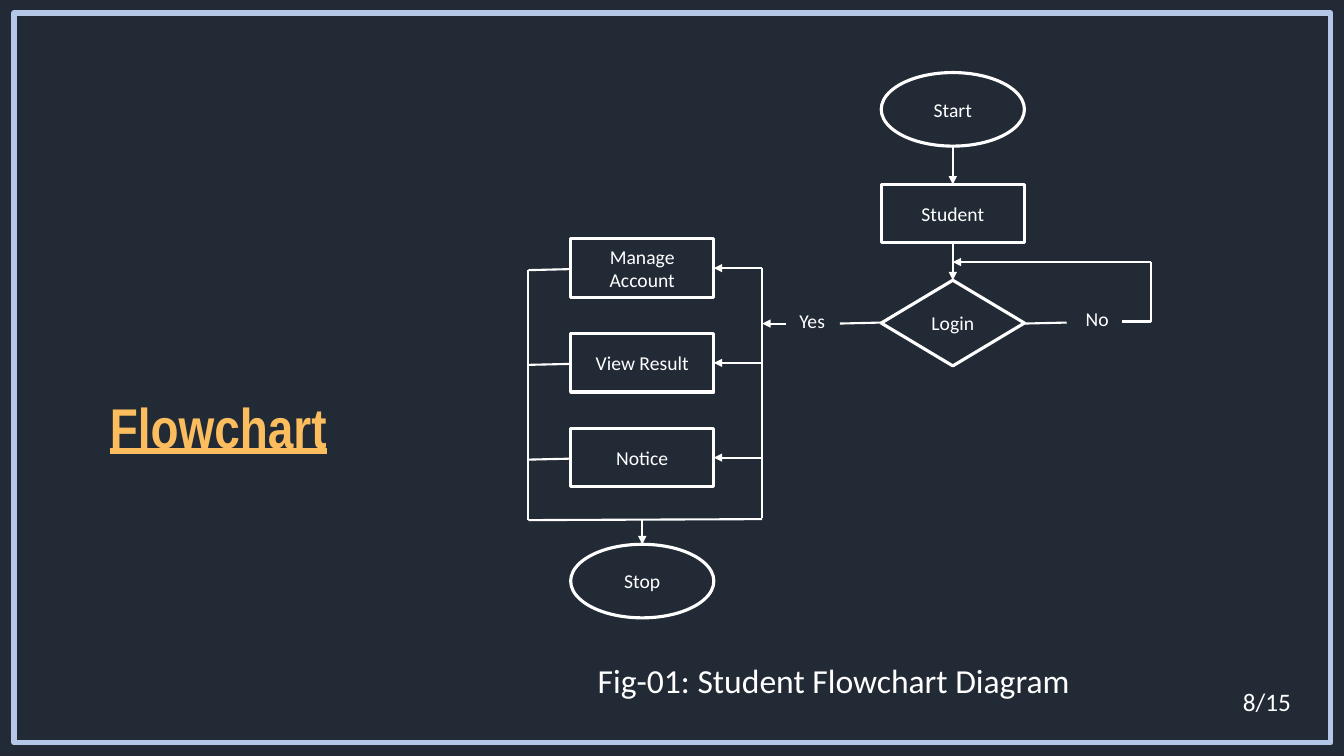
from lxml import etree
from pptx import Presentation
from pptx import util as u
from pptx.dml.color import RGBColor
from pptx.enum import shapes, text
from pptx.oxml.ns import qn

PX = 9144
SLIDE_SIZE = (1333, 750)
BACKGROUND, WHITE, GOLD, PALE_BLUE = "222A35", "FFFFFF", "FBBD5E", "B4C7E7"
FRAME = (14, 13, 1306, 724)

NODE_WIDTH = 142
LOGIN_X, MENU_X = 874, 566
LOGIN_CENTER, MENU_CENTER = LOGIN_X + NODE_WIDTH // 2, MENU_X + NODE_WIDTH // 2
LEFT_BUS, RIGHT_BUS, RETRY_X = 524, 756, 1142
BUS_BOTTOM = 515

NODE_KINDS = {
    "terminal": (shapes.MSO_SHAPE.OVAL, 73),
    "step": (shapes.MSO_SHAPE.RECTANGLE, 58),
    "decision": (shapes.MSO_SHAPE.DIAMOND, 85),
}
NODES = [
    ("Start", "terminal", LOGIN_X, 72),
    ("Student", "step", LOGIN_X, 183),
    ("Login", "decision", LOGIN_X, 278),
    ("Stop", "terminal", MENU_X, 540),
]
MENU = ["Manage Account", "View Result", "Notice"]
MENU_TOP, MENU_PITCH = 237, 94

LABELS = [
    ("Flowchart", (56, 384, 321, 77), 40, "Arial Narrow", GOLD, True),
    ("8/15", (1223, 676, 86, 40), 18, "Calibri", WHITE, True),
    ("Yes", (783, 302, 46, 34), 14, "Calibri", WHITE, False),
    ("No", (1067, 300, 43, 34), 14, "Calibri", WHITE, False),
    ("Fig-01: Student Flowchart Diagram", (583, 650, 492, 50), 24, "Calibri", WHITE, False),
]

ARROWS = [
    (LOGIN_CENTER, 146, LOGIN_CENTER, 183),
    (LOGIN_CENTER, 241, LOGIN_CENTER, 278),
    (RETRY_X, 260, LOGIN_CENTER, 260),
    (780, 321, RIGHT_BUS, 321),
    (MENU_CENTER, BUS_BOTTOM, MENU_CENTER, 540),
]
LINES = [
    (LOGIN_X, 320, 833, 321),
    (1058, 320, LOGIN_X + NODE_WIDTH, 321),
    (RETRY_X, 319, RETRY_X, 260),
    (RETRY_X, 319, 1113, 319),
    (RIGHT_BUS, 514, RIGHT_BUS, 266),
    (LEFT_BUS, 516, LEFT_BUS, 268),
    (RIGHT_BUS, BUS_BOTTOM, LEFT_BUS, 516),
]


def color(value):
    return RGBColor.from_string(value)


def scaled(*lengths):
    return [length * PX for length in lengths]


def add_run(paragraph, words, size, font, hue):
    run = paragraph.add_run()
    run.text = words
    run.font.size = u.Pt(size)
    run.font.name = font
    run.font.color.rgb = color(hue)
    return run


def add_outline(slide, kind, box, hue, width):
    shape = slide.shapes.add_shape(kind, *scaled(*box))
    shape.shadow.inherit = False
    shape.fill.background()
    shape.line.color.rgb = color(hue)
    shape.line.width = u.Pt(width)
    return shape


def add_node(slide, words, kind, left, top):
    preset, height = NODE_KINDS[kind]
    shape = add_outline(slide, preset, (left, top, NODE_WIDTH, height), WHITE, 2.25)
    frame = shape.text_frame
    frame.word_wrap = True
    frame.vertical_anchor = text.MSO_ANCHOR.MIDDLE
    paragraph = frame.paragraphs[0]
    paragraph.alignment = text.PP_ALIGN.CENTER
    add_run(paragraph, words, 14, "Calibri", WHITE)


def add_line(slide, points, arrow=False):
    connector = slide.shapes.add_connector(shapes.MSO_CONNECTOR.STRAIGHT, *scaled(*points))
    connector.line.color.rgb = color(WHITE)
    connector.line.width = u.Pt(1.5)
    if arrow:
        etree.SubElement(connector.line._get_or_add_ln(), qn("a:tailEnd"), type="triangle")
    etree.SubElement(connector._element.spPr, qn("a:effectLst"))


def add_label(slide, words, box, size, font, hue, wrap):
    frame = slide.shapes.add_textbox(*scaled(*box)).text_frame
    frame.word_wrap = wrap
    frame.auto_size = text.MSO_AUTO_SIZE.SHAPE_TO_FIT_TEXT
    return add_run(frame.paragraphs[0], words, size, font, hue), frame.paragraphs[0]


def main():
    presentation = Presentation()
    presentation.slide_width, presentation.slide_height = scaled(*SLIDE_SIZE)
    slide = presentation.slides.add_slide(presentation.slide_layouts[6])
    slide.background.fill.solid()
    slide.background.fill.fore_color.rgb = color(BACKGROUND)
    add_outline(slide, shapes.MSO_SHAPE.RECTANGLE, FRAME, PALE_BLUE, 3.75)

    for node in NODES:
        add_node(slide, *node)
    for index, words in enumerate(MENU):
        top = MENU_TOP + index * MENU_PITCH
        middle = top + NODE_KINDS["step"][1] // 2
        add_node(slide, words, "step", MENU_X, top)
        add_line(slide, (RIGHT_BUS, middle, MENU_X + NODE_WIDTH, middle), True)
        add_line(slide, (MENU_X, middle + 1, LEFT_BUS, middle + 2))

    for points in ARROWS:
        add_line(slide, points, True)
    for points in LINES:
        add_line(slide, points)

    for label in LABELS:
        run, paragraph = add_label(slide, *label)
        if label[0] == "Flowchart":
            run.font.bold = run.font.underline = True
            paragraph.alignment = text.PP_ALIGN.CENTER

    presentation.save("out.pptx")


if __name__ == "__main__":
    main()
